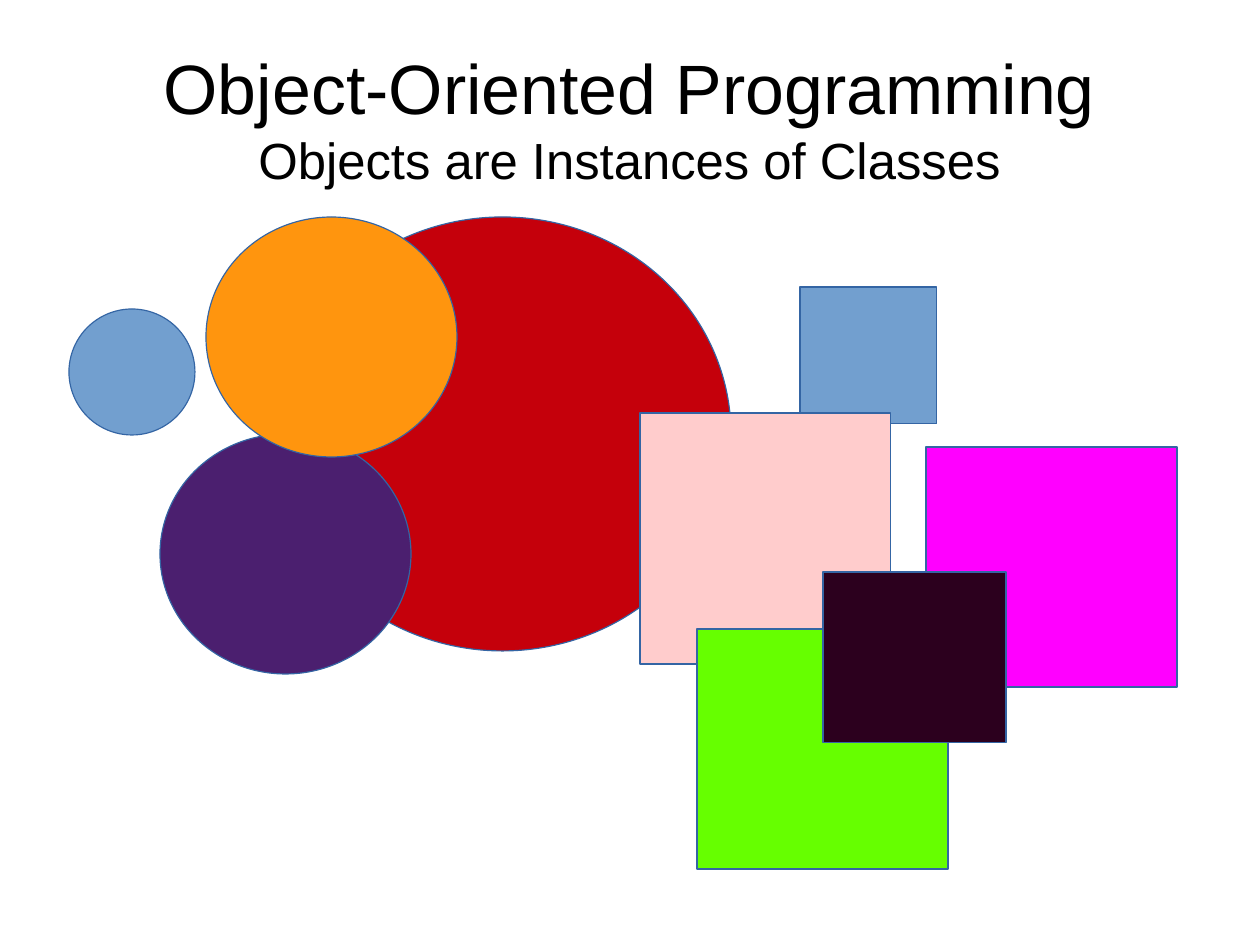
from dataclasses import dataclass

from pptx import Presentation
from pptx.dml.color import RGBColor
from pptx.enum.shapes import MSO_SHAPE
from pptx.enum.text import MSO_ANCHOR, PP_ALIGN
from pptx.slide import Slide
from pptx.util import Emu, Pt

EMU_PER_PIXEL = 8000
FONT = "Arial"
COLORS = {
    "black": "000000",
    "outline": "3465A4",
    "blue": "729FCF",
    "red": "C5000B",
    "purple": "4B1F6F",
    "orange": "FF950E",
    "pink": "FFCCCC",
    "magenta": "FF00FF",
    "green": "66FF00",
    "plum": "2C001E",
}


@dataclass(frozen=True)
class Instance:
    color: str
    left: int
    top: int
    width: int
    height: int


CIRCLES = [
    Instance("blue", 69, 309, 126, 126),
    Instance("red", 274, 217, 457, 434),
    Instance("purple", 160, 434, 251, 240),
    Instance("orange", 206, 217, 251, 240),
]
RECTANGLES = [
    Instance("blue", 800, 287, 137, 137),
    Instance("pink", 640, 413, 251, 251),
    Instance("magenta", 926, 447, 251, 240),
    Instance("green", 697, 629, 251, 240),
    Instance("plum", 823, 572, 183, 171),
]
TITLE_LINES = [
    ("Object-Oriented Programming", 44),
    ("Objects are Instances of Classes", 32),
]


def px(pixels: int) -> Emu:
    return Emu(pixels * EMU_PER_PIXEL)


def rgb(name: str) -> RGBColor:
    return RGBColor.from_string(COLORS[name])


def write_title(page: Slide) -> None:
    title = page.shapes.title
    title.left, title.top, title.width, title.height = map(px, (63, 38, 1134, 158))
    frame = title.text_frame
    frame.margin_left = frame.margin_top = frame.margin_right = frame.margin_bottom = 0
    frame.vertical_anchor = MSO_ANCHOR.MIDDLE
    frame.word_wrap = True
    para = frame.paragraphs[0]
    para.alignment = PP_ALIGN.CENTER
    para.line_spacing = 1.0
    para.space_before = Pt(0)
    for index, (text, size) in enumerate(TITLE_LINES):
        if index:
            para.add_line_break()
        span = para.add_run()
        span.text = text
        span.font.name = FONT
        span.font.size = Pt(size)
        span.font.color.rgb = rgb("black")


def draw_instance(page: Slide, kind: MSO_SHAPE, item: Instance) -> None:
    shape = page.shapes.add_shape(
        kind, px(item.left), px(item.top), px(item.width), px(item.height)
    )
    shape.shadow.inherit = False
    shape.fill.solid()
    shape.fill.fore_color.rgb = rgb(item.color)
    shape.line.color.rgb = rgb("outline")
    shape.line.width = Pt(0)


deck = Presentation()
deck.slide_width, deck.slide_height = px(1260), px(945)
page = deck.slides.add_slide(deck.slide_layouts[5])
write_title(page)
for kind, instances in (
    (MSO_SHAPE.FLOWCHART_CONNECTOR, CIRCLES),
    (MSO_SHAPE.RECTANGLE, RECTANGLES),
):
    for item in instances:
        draw_instance(page, kind, item)
deck.save("out.pptx")
